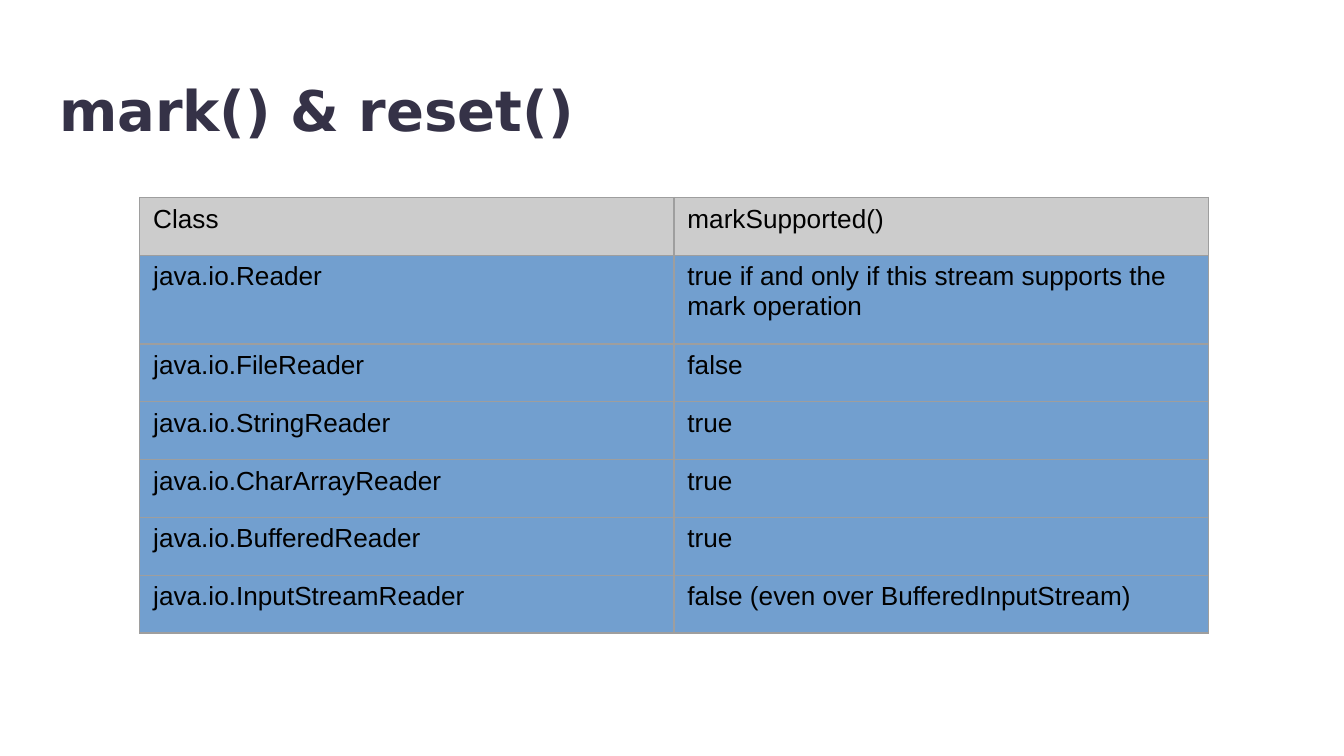
from dataclasses import dataclass
from lxml import etree
from pptx import Presentation
from pptx.dml.color import RGBColor
from pptx.enum import text
from pptx.oxml import ns
from pptx.util import Inches, Pt


@dataclass(frozen=True)
class Theme:
    title_font: str = "DejaVu Sans"
    body_font: str = "Arial"
    title_size: int = 30
    body_size: int = 14
    title_color: str = "353247"
    body_color: str = "000000"
    header_fill: str = "CCCCCC"
    row_fill: str = "729FCF"
    border: str = "9E9E9E"
    border_width: float = 0.75


theme = Theme()


def add_span(para, words, font, size, color, bold=False):
    span = para.add_run()
    span.text = words
    span.font.name = font
    span.font.size = Pt(size)
    span.font.bold = bold
    span.font.color.rgb = RGBColor.from_string(color)


def add_borders(cell):
    properties = cell._tc.get_or_add_tcPr()
    for index, side in enumerate(("lnL", "lnR", "lnT", "lnB")):
        line = etree.Element(ns.qn(f"a:{side}"), w=str(Pt(theme.border_width)))
        fill = etree.SubElement(line, ns.qn("a:solidFill"))
        etree.SubElement(fill, ns.qn("a:srgbClr"), val=theme.border)
        properties.insert(index, line)


deck = Presentation()
deck.slide_width = Inches(10)
deck.slide_height = Inches(10 * 9 / 16)
page = deck.slides.add_slide(deck.slide_layouts[5])

title = page.shapes.title
title.left, title.top = Inches(0.34), Inches(0.46)
title.width, title.height = Inches(9.32), Inches(0.63)
frame = title.text_frame
frame.word_wrap = True
frame.auto_size = text.MSO_AUTO_SIZE.NONE
frame.vertical_anchor = text.MSO_ANCHOR.TOP
frame.margin_left = frame.margin_right = Inches(0.1)
frame.margin_top = frame.margin_bottom = Inches(0.1)
para = frame.paragraphs[0]
para.alignment = text.PP_ALIGN.LEFT
add_span(para, "mark() & reset()", theme.title_font, theme.title_size,
         theme.title_color, bold=True)

rows = [
    ("Class", "markSupported()"),
    ("java.io.Reader", "true if and only if this stream supports the mark operation"),
    ("java.io.FileReader", "false"),
    ("java.io.StringReader", "true"),
    ("java.io.CharArrayReader", "true"),
    ("java.io.BufferedReader", "true"),
    ("java.io.InputStreamReader", "false (even over BufferedInputStream)"),
]
table = page.shapes.add_table(len(rows), 2, Inches(1.04), Inches(1.47),
                              Inches(7.95), Inches(3.22)).table
table.horz_banding = False
for row_index, row in enumerate(rows):
    table.rows[row_index].height = Inches(0.66 if row_index == 1 else 0.43)
    for column_index, words in enumerate(row):
        cell = table.cell(row_index, column_index)
        cell.margin_left = cell.margin_right = Inches(0.1)
        cell.margin_top = cell.margin_bottom = Inches(0.05)
        cell.fill.solid()
        cell.fill.fore_color.rgb = RGBColor.from_string(
            theme.row_fill if row_index else theme.header_fill)
        add_borders(cell)
        add_span(cell.text_frame.paragraphs[0], words, theme.body_font,
                 theme.body_size, theme.body_color)

deck.save("out.pptx")
